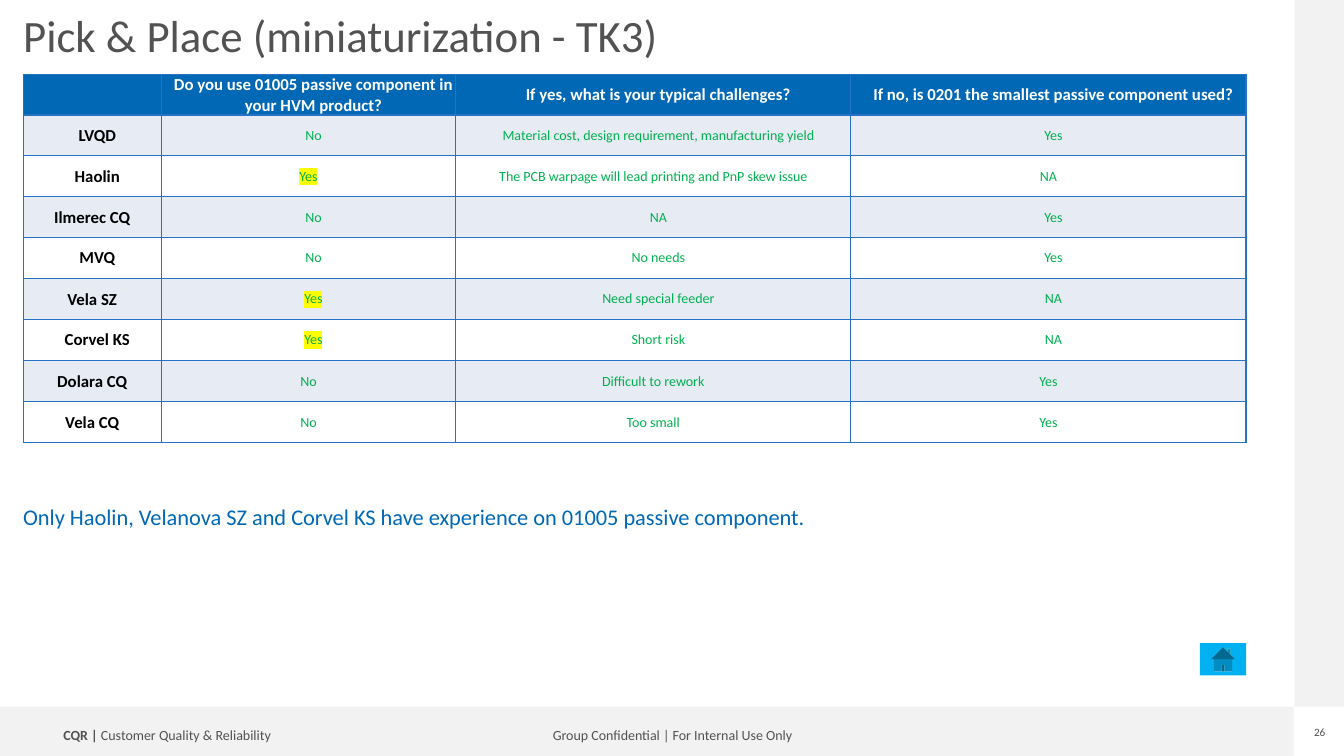
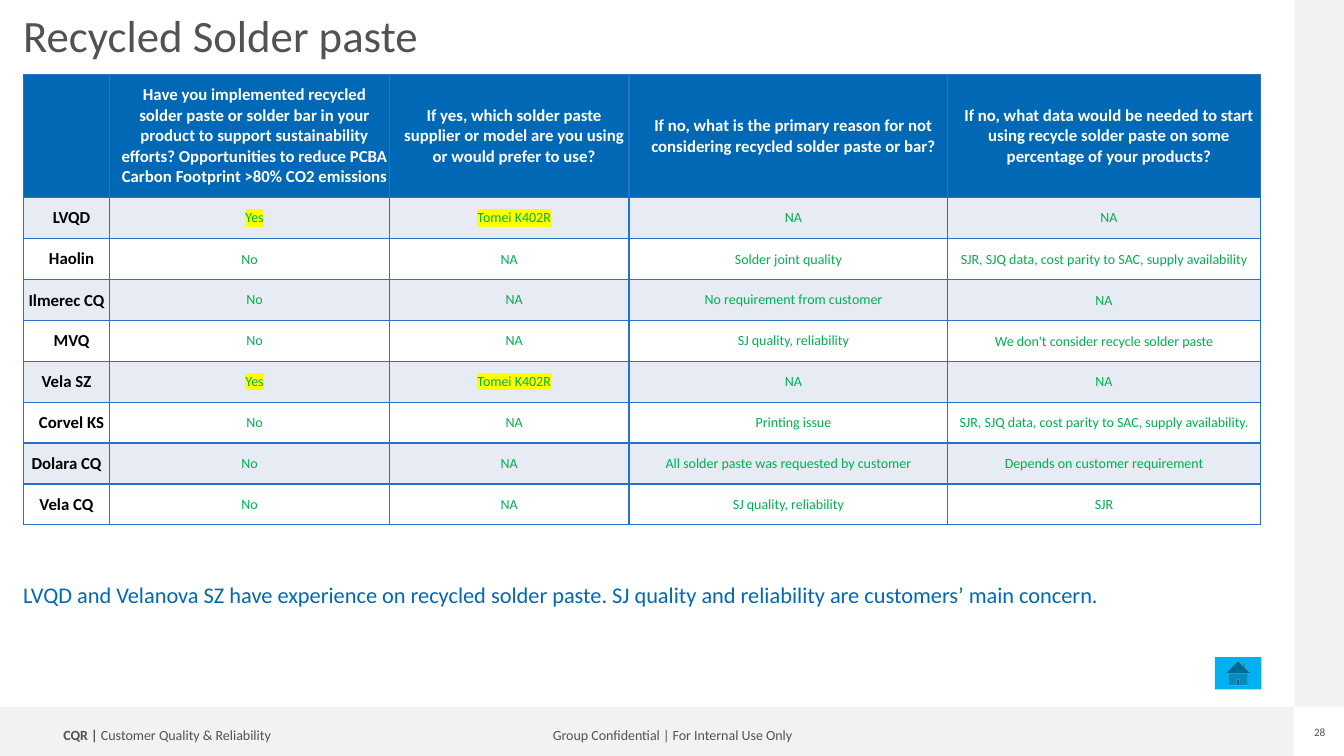
from dataclasses import dataclass
from typing import NamedTuple

from lxml.etree import SubElement
from pptx import Presentation
from pptx.dml.color import RGBColor
from pptx.enum.shapes import MSO_SHAPE
from pptx.enum.text import MSO_ANCHOR, PP_ALIGN
from pptx.oxml import parse_xml
from pptx.oxml.ns import nsdecls, qn
from pptx.util import Inches, Pt


@dataclass(frozen=True)
class Theme:
    font: str = "Calibri"
    grey: str = "525252"
    band: str = "F2F2F2"
    blue: str = "0068B5"
    border: str = "2872C5"
    stripe: str = "E7EBF3"
    white: str = "FFFFFF"
    black: str = "000000"
    green: str = "00B050"
    yellow: str = "FFFF00"
    home: str = "00B0F0"
    title_size: float = 32
    finding_size: float = 16
    heading_size: float = 12
    body_size: float = 10
    page_size: float = 8


class Box(NamedTuple):
    left: float
    top: float
    width: float
    height: float

    def lengths(self):
        return [Inches(value) for value in self]


class Insets(NamedTuple):
    left: float
    top: float
    right: float
    bottom: float


class Supplier(NamedTuple):
    name: str
    name_insets: Insets
    answer_insets: Insets


@dataclass(frozen=True)
class Survey:
    title: str
    page: str
    table: Box
    columns: list
    heading_height: float
    questions: list
    answers: list
    marked_columns: int
    last_column_tight: bool
    finding: str
    finding_top: float
    home_top: float


THEME = Theme()
NONE = Insets(0, 0, 0, 0)
WIDE = Insets(0.1, 0, 0, 0)
TIGHT = Insets(0.01, 0.01, 0.01, 0)
PADDED = Insets(0.1, 0.05, 0.1, 0.05)
BODY_HEIGHT = 3.25

SUPPLIERS = [
    Supplier("LVQD", WIDE, WIDE),
    Supplier("Haolin", WIDE, TIGHT),
    Supplier("Ilmerec CQ", TIGHT, WIDE),
    Supplier("MVQ", WIDE, WIDE),
    Supplier("Vela SZ", TIGHT, WIDE),
    Supplier("Corvel KS", WIDE, WIDE),
    Supplier("Dolara CQ", TIGHT, TIGHT),
    Supplier("Vela CQ", TIGHT, TIGHT),
]

SURVEYS = [
    Survey(
        title="Pick & Place (miniaturization - TK3)",
        page="26",
        table=Box(0.23, 0.74, 12.13, 3.65),
        columns=[1.37, 2.92, 3.92, 3.92],
        heading_height=0.4,
        questions=[
            "Do you use 01005 passive component in your HVM product?",
            "If yes, what is your typical challenges?",
            "If no, is 0201 the smallest passive component used?",
        ],
        answers=[
            ("No", "Material cost, design requirement, manufacturing yield", "Yes"),
            ("Yes", "The PCB warpage will lead printing and PnP skew issue", "NA"),
            ("No", "NA", "Yes"),
            ("No", "No needs", "Yes"),
            ("Yes", "Need special feeder", "NA"),
            ("Yes", "Short risk", "NA"),
            ("No", "Difficult to rework", "Yes"),
            ("No", "Too small", "Yes"),
        ],
        marked_columns=1,
        last_column_tight=False,
        finding="Only Haolin, Velanova SZ and Corvel KS have experience on 01005 "
                "passive component.",
        finding_top=4.99,
        home_top=6.38,
    ),
    Survey(
        title="Recycled Solder paste",
        page="28",
        table=Box(0.23, 0.74, 12.28, 4.47),
        columns=[0.86, 2.77, 2.38, 3.16, 3.1],
        heading_height=1.22,
        questions=[
            "Have you implemented recycled solder paste or solder bar in your "
            "product to support sustainability efforts? Opportunities to reduce "
            "PCBA Carbon Footprint >80% CO2 emissions",
            "If yes, which solder paste supplier or model are you using or would "
            "prefer to use?",
            "If no, what is the primary reason for not considering recycled solder "
            "paste or bar?",
            "If no, what data would be needed to start using recycle solder paste "
            "on some percentage of your products?",
        ],
        answers=[
            ("Yes", "Tomei K402R", "NA", "NA"),
            ("No", "NA", "Solder joint quality",
             "SJR, SJQ data, cost parity to SAC, supply availability"),
            ("No", "NA", "No requirement from customer", "NA"),
            ("No", "NA", "SJ quality, reliability",
             "We don't consider recycle solder paste"),
            ("Yes", "Tomei K402R", "NA", "NA"),
            ("No", "NA", "Printing issue",
             "SJR, SJQ data, cost parity to SAC, supply availability."),
            ("No", "NA", "All solder paste was requested by customer",
             "Depends on customer requirement"),
            ("No", "NA", "SJ quality, reliability", "SJR"),
        ],
        marked_columns=2,
        last_column_tight=True,
        finding="LVQD and Velanova SZ have experience on recycled solder paste. "
                "SJ quality and reliability are customers’ main concern.",
        finding_top=5.77,
        home_top=6.52,
    ),
]


def set_attributes(target, values):
    for name, value in values.items():
        setattr(target, name, value)


def set_margins(target, insets):
    set_attributes(target, {f"margin_{side}": Inches(value)
                            for side, value in insets._asdict().items()})


def add_span(para, text, size, color, bold=False, highlight=None):
    span = para.add_run()
    span.text = text
    set_attributes(span.font, {"name": THEME.font, "size": Pt(size), "bold": bold})
    span.font.color.rgb = RGBColor.from_string(color)
    if highlight:
        fill = span.font._element.find(qn("a:solidFill"))
        fill.addnext(parse_xml(f'<a:highlight {nsdecls("a")}>'
                               f'<a:srgbClr val="{highlight}"/></a:highlight>'))


def add_text(page, box, spans, insets=NONE, wrap=True, align=PP_ALIGN.LEFT, spacing=1.0):
    """Place one paragraph made of (text, size, color, bold) spans."""
    frame = page.shapes.add_textbox(*box.lengths()).text_frame
    frame.word_wrap = wrap
    set_margins(frame, insets)
    para = frame.paragraphs[0]
    set_attributes(para, {"alignment": align, "line_spacing": spacing})
    for span in spans:
        add_span(para, *span)


def add_filled_shape(page, kind, box, color):
    shape = page.shapes.add_shape(kind, *box.lengths())
    shape.shadow.inherit = False
    shape.fill.solid()
    shape.fill.fore_color.rgb = RGBColor.from_string(color)
    shape.line.fill.background()


def add_frame(page, number):
    """Draw the grey bands, the footer texts and the page number."""
    for band in (Box(-0.01, 7.01, 12.84, 0.49), Box(12.84, 0, 0.49, 7.01)):
        add_filled_shape(page, MSO_SHAPE.RECTANGLE, band, THEME.band)
    small = (THEME.body_size, THEME.grey)
    add_text(page, Box(5.29, 7.18, 2.76, 0.25),
             [("Group Confidential | For Internal Use Only", *small)],
             PADDED, False, PP_ALIGN.CENTER, 0.9)
    add_text(page, Box(0.53, 7.18, 2.54, 0.25),
             [("CQR | ", *small, True), ("Customer Quality & Reliability", *small)],
             PADDED, False, spacing=0.9)
    add_text(page, Box(13.02, 7.2, 0.14, 0.13),
             [(number, THEME.page_size, THEME.grey)], NONE, False, PP_ALIGN.CENTER)


def add_borders(cell):
    properties = cell._tc.get_or_add_tcPr()
    for index, side in enumerate(("lnL", "lnR", "lnT", "lnB")):
        line = parse_xml(f'<a:{side} {nsdecls("a")} w="{Pt(1)}"/>')
        fill = SubElement(line, qn("a:solidFill"))
        SubElement(fill, qn("a:srgbClr"), val=THEME.border)
        properties.insert(index, line)


def fill_cell(cell, text, fill, insets, size, color, bold=False, highlight=None):
    cell.fill.solid()
    cell.fill.fore_color.rgb = RGBColor.from_string(fill)
    add_borders(cell)
    set_margins(cell, insets)
    cell.vertical_anchor = MSO_ANCHOR.MIDDLE
    para = cell.text_frame.paragraphs[0]
    para.alignment = PP_ALIGN.CENTER
    if text:
        add_span(para, text, size, color, bold, highlight)


def add_survey_table(page, survey):
    table = page.shapes.add_table(len(SUPPLIERS) + 1, len(survey.columns),
                                  *survey.table.lengths()).table
    set_attributes(table, {"first_row": False, "horz_banding": False})
    for column, width in zip(table.columns, survey.columns):
        column.width = Inches(width)
    for row in table.rows:
        row.height = Inches(BODY_HEIGHT / len(SUPPLIERS))
    table.rows[0].height = Inches(survey.heading_height)

    for column, question in enumerate(["", *survey.questions]):
        fill_cell(table.cell(0, column), question, THEME.blue, WIDE,
                  THEME.heading_size, THEME.white, True)
    for row, (supplier, answers) in enumerate(zip(SUPPLIERS, survey.answers), 1):
        fill = THEME.stripe if row % 2 else THEME.white
        fill_cell(table.cell(row, 0), supplier.name, fill, supplier.name_insets,
                  THEME.heading_size, THEME.black, True)
        for column, answer in enumerate(answers, 1):
            marked = answers[0] == "Yes" and column <= survey.marked_columns
            tight = survey.last_column_tight and column == len(answers) and row > 1
            fill_cell(table.cell(row, column), answer, fill,
                      TIGHT if tight else supplier.answer_insets,
                      THEME.body_size, THEME.green,
                      highlight=THEME.yellow if marked else None)


def add_survey_slide(deck, survey):
    page = deck.slides.add_slide(deck.slide_layouts[6])
    left, _, width, _ = survey.table
    add_frame(page, survey.page)
    add_text(page, Box(left, 0.14, 12.04, 1.04),
             [(survey.title, THEME.title_size, THEME.grey)], spacing=0.9)
    add_survey_table(page, survey)
    add_text(page, Box(left, survey.finding_top, width, 0.27),
             [(survey.finding, THEME.finding_size, THEME.blue)])
    home = Box(left + width - 0.46, survey.home_top, 0.46, 0.32)
    add_filled_shape(page, MSO_SHAPE.ACTION_BUTTON_HOME, home, THEME.home)


def main():
    deck = Presentation()
    set_attributes(deck, {"slide_width": Inches(13.33), "slide_height": Inches(7.5)})
    for survey in SURVEYS:
        add_survey_slide(deck, survey)
    deck.save("out.pptx")


if __name__ == "__main__":
    main()
